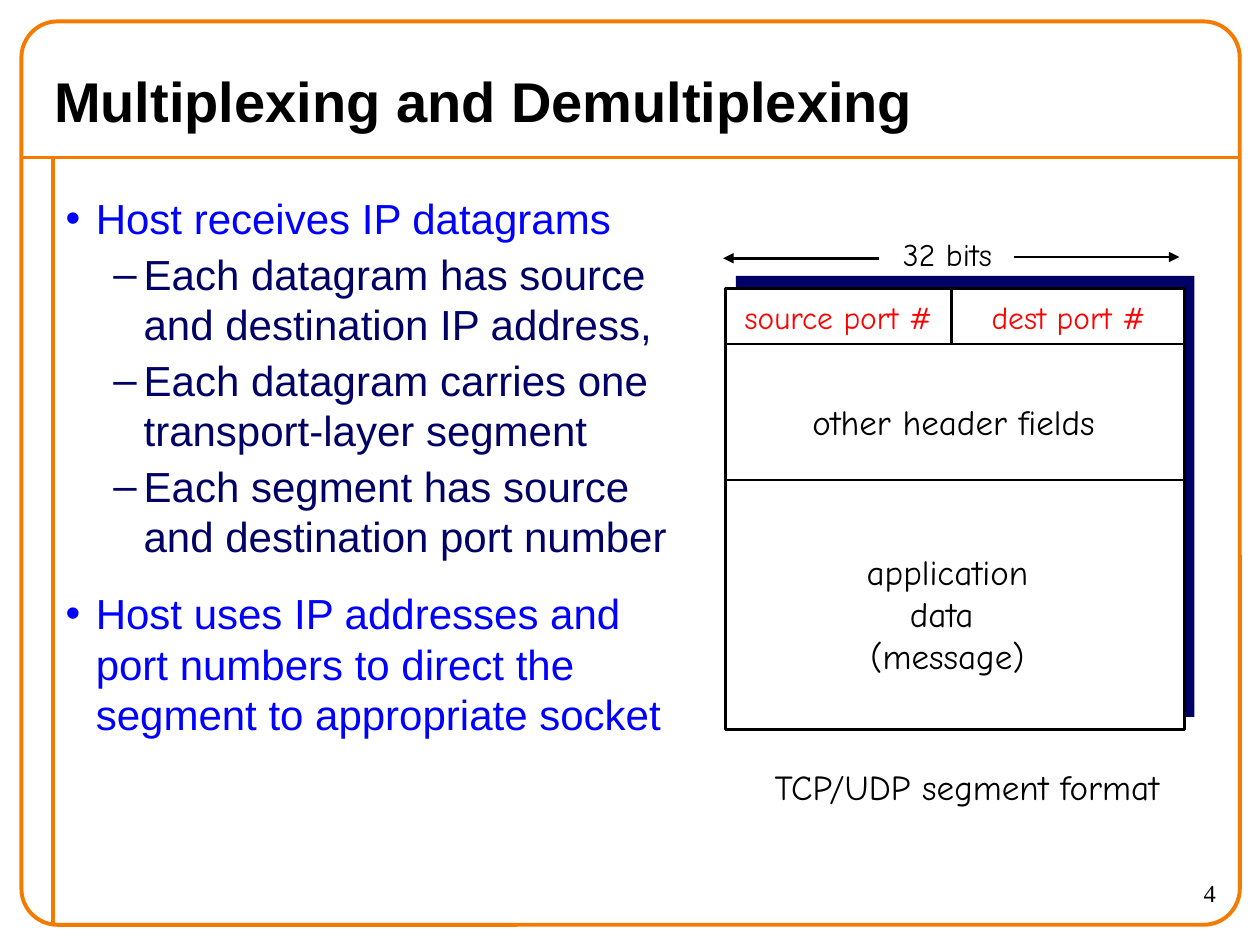
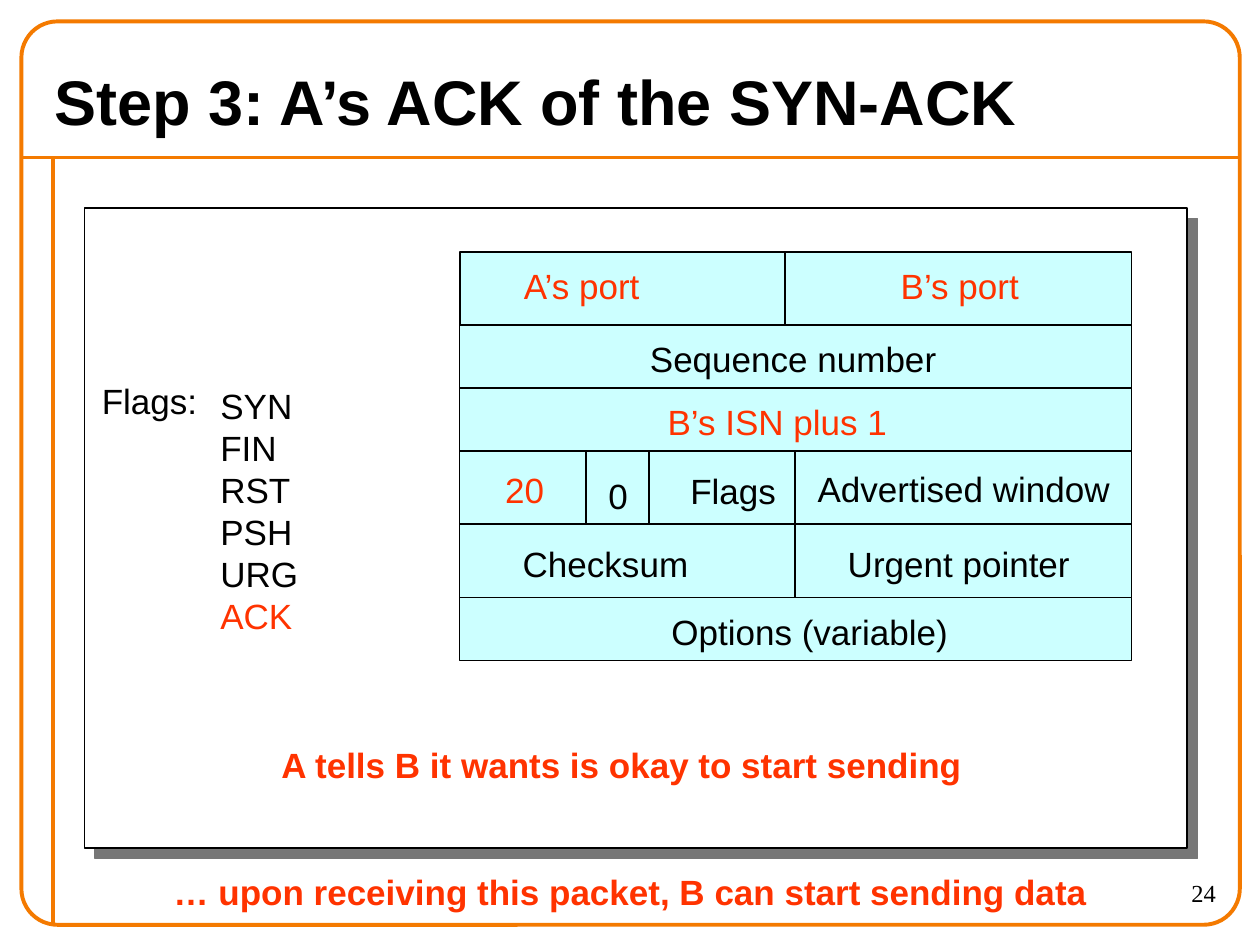
from dataclasses import dataclass

from lxml.etree import SubElement
from pptx import Presentation
from pptx.dml.color import RGBColor as RGB
from pptx.enum.shapes import MSO_CONNECTOR as LINE, MSO_SHAPE as SHAPE
from pptx.enum.text import MSO_ANCHOR as ANCHOR, MSO_AUTO_SIZE as FIT, PP_ALIGN as ALIGN
from pptx.oxml.ns import qn
from pptx.util import Inches, Pt


@dataclass(frozen=True)
class Theme:
    orange: str = "F47A00"
    navy: str = "000066"
    blue: str = "0000FF"
    red: str = "FF0000"
    vermilion: str = "FF3300"
    cyan: str = "CCFFFF"
    gray: str = "777777"
    black: str = "000000"
    white: str = "FFFFFF"
    sans: str = "Arial"
    hand: str = "Comic Neue"
    serif: str = "Times New Roman"
    body_size: int = 24
    label_size: int = 20
    port_size: int = 18
    number_size: int = 14
    frame_line: float = 2.25
    thick_line: float = 1.5
    thin_line: float = 0.75


THEME = Theme()
SIDE_MARGINS = {ALIGN.LEFT: (0.1, 0), ALIGN.CENTER: (0, 0), ALIGN.RIGHT: (0, 0.1)}


def inches(values):
    return [Inches(value) for value in values]


def set_all(target, formats):
    for name, value in formats.items():
        setattr(target, name, value)


def style_font(font, size, color, face=THEME.sans, bold=False):
    set_all(font, {"size": Pt(size), "name": face, "bold": bold})
    font.color.rgb = RGB.from_string(color)


def add_box(slide, at, fill=None, line=None, width=THEME.thin_line, kind=SHAPE.RECTANGLE):
    box = slide.shapes.add_shape(kind, *inches(at))
    box.shadow.inherit = False
    if fill:
        box.fill.solid()
        box.fill.fore_color.rgb = RGB.from_string(fill)
    else:
        box.fill.background()
    if line:
        box.line.color.rgb = RGB.from_string(line)
        box.line.width = Pt(width)
    else:
        box.line.fill.background()
    return box


def add_line(slide, start, end, color=THEME.black, width=THEME.thick_line, arrow=False):
    line = slide.shapes.add_connector(LINE.STRAIGHT, *inches(start + end))
    line.line.color.rgb = RGB.from_string(color)
    line.line.width = Pt(width)
    properties = line._element.spPr
    if arrow:
        SubElement(properties.find(qn("a:ln")), qn("a:tailEnd"), type="triangle")
    SubElement(properties, qn("a:effectLst"))


def add_label(slide, at, lines, size=THEME.label_size, color=THEME.black, face=THEME.sans,
              bold=False, align=ALIGN.LEFT, fill=None):
    label = slide.shapes.add_textbox(*inches(at))
    if fill:
        label.fill.solid()
        label.fill.fore_color.rgb = RGB.from_string(fill)
    frame = label.text_frame
    margin_left, margin_right = inches(SIDE_MARGINS[align])
    set_all(frame, {"text": "\n".join(lines), "word_wrap": True, "auto_size": FIT.NONE,
                    "margin_left": margin_left, "margin_right": margin_right})
    for paragraph in frame.paragraphs:
        paragraph.alignment = align
        style_font(paragraph.font, size, color, face, bold)
    return frame


def place(placeholder, at, anchor):
    set_all(placeholder, dict(zip(("left", "top", "width", "height"), inches(at))))
    set_all(placeholder.text_frame, {"auto_size": FIT.NONE, "word_wrap": True,
                                     "vertical_anchor": anchor})


def start_slide(deck, layout, heading, size, number):
    slide = deck.slides.add_slide(deck.slide_layouts[layout])
    for start, end in [((0.17, 1.25), (9.83, 1.25)), ((0.42, 1.25), (0.42, 7.33))]:
        add_line(slide, start, end, THEME.orange, THEME.frame_line)
    border = add_box(slide, (0.17, 0.17, 9.67, 7.17), line=THEME.orange,
                     width=THEME.frame_line, kind=SHAPE.ROUNDED_RECTANGLE)
    border.adjustments[0] = 0.04
    add_label(slide, (8.75, 6.92, 1, 0.42), [number], THEME.number_size,
              face=THEME.serif, align=ALIGN.RIGHT)
    title = slide.shapes.title
    place(title, (0.33, 0.42, 8.82, 0.75), ANCHOR.MIDDLE)
    title.text_frame.text = heading
    paragraph = title.text_frame.paragraphs[0]
    paragraph.alignment = ALIGN.LEFT
    style_font(paragraph.font, size, THEME.black, bold=True)
    return slide


def add_bullets(slide, at, points):
    levels = [("•", THEME.blue, 0.24, 15), ("–", THEME.navy, 0.62, 3)]
    body = slide.placeholders[1]
    place(body, at, ANCHOR.TOP)
    body.text_frame.text = "\n".join(text for _, text in points)
    for index, (level, _) in enumerate(points):
        mark, color, margin, gap = levels[level]
        paragraph = body.text_frame.paragraphs[index]
        properties = paragraph._p.get_or_add_pPr()
        properties.set("marL", str(Inches(margin)))
        properties.set("indent", str(Inches(-0.24)))
        bullet_color = SubElement(properties, qn("a:buClr"))
        SubElement(bullet_color, qn("a:srgbClr"), val=color)
        SubElement(properties, qn("a:buFont"), typeface=THEME.sans)
        SubElement(properties, qn("a:buChar"), char=mark)
        set_all(paragraph, {"level": level, "alignment": ALIGN.LEFT,
                            "space_before": Pt(gap if index else 0)})
        style_font(paragraph.font, THEME.body_size, color)


def add_drop_shadow(box, color, distance):
    effects = box._element.spPr.find(qn("a:effectLst"))
    shadow = SubElement(effects, qn("a:outerShdw"), dist=str(Pt(distance)),
                        dir=str(45 * 60000), algn="ctr", rotWithShape="0")
    SubElement(shadow, qn("a:srgbClr"), val=color)


def draw_segment_format(slide):
    add_box(slide, (5.84, 2.19, 3.64, 3.5), THEME.navy)
    add_box(slide, (5.76, 2.29, 3.64, 3.5), THEME.white, THEME.black, THEME.thick_line)
    for start, end in [((5.76, 2.73), (9.4, 2.73)), ((5.76, 3.81), (9.4, 3.81)),
                       ((7.55, 2.73), (7.55, 2.29))]:
        add_line(slide, start, end)
    for start, end in [((8.05, 2.04), (9.36, 2.04)), ((6.98, 2.05), (5.74, 2.05))]:
        add_line(slide, start, end, arrow=True)
    fields = [
        ((5.81, 2.32, 1.69, 0.4), ["source port #"], THEME.port_size, THEME.red),
        ((7.77, 2.32, 1.42, 0.4), ["dest port #"], THEME.port_size, THEME.red),
        ((7.07, 1.82, 0.9, 0.4), ["32 bits"], THEME.port_size, THEME.black),
        ((6.35, 3.13, 2.44, 0.44), ["other header fields"], THEME.label_size, THEME.black),
        ((6.78, 4.32, 1.48, 1.1), ["application", "data ", "(message)"],
         THEME.label_size, THEME.black),
        ((6.03, 6.03, 3.29, 0.44), ["TCP/UDP segment format"], THEME.label_size, THEME.black),
    ]
    for at, lines, size, color in fields:
        add_label(slide, at, lines, size, color, THEME.hand, align=ALIGN.CENTER)


def draw_tcp_header(slide):
    left, right, top = 3.65, 8.98, 2
    tall, short = 0.58, 0.5
    rows = [(tall, [6.23]), (short, []), (short, []), (tall, [6.31]), (tall, [6.31]), (short, [])]
    for height, splits in rows:
        edges = [left, *splits, right]
        for start, end in zip(edges, edges[1:]):
            add_box(slide, (start, top, end - start, height), THEME.cyan, THEME.black)
        top += height
    for x in (4.65, 5.15):
        add_line(slide, (x, 3.58), (x, 4.16), width=THEME.thin_line)
    fields = [
        (4.06, 2.05, 1.14, "A’s port", THEME.vermilion),
        (7.05, 2.05, 1.14, "B’s port", THEME.vermilion),
        (5.06, 2.63, 2.47, "Sequence number", THEME.black),
        (5.2, 3.13, 1.95, "B’s ISN plus 1", THEME.vermilion),
        (3.91, 3.67, 0.51, "20", THEME.vermilion),
        (4.73, 3.72, 0.35, "0", THEME.black),
        (5.38, 3.68, 0.88, "Flags", THEME.black),
        (6.39, 3.66, 2.52, "Advertised window", THEME.black),
        (4.05, 4.26, 1.51, "Checksum", THEME.black),
        (6.63, 4.26, 1.96, "Urgent pointer", THEME.black),
        (5.23, 4.8, 2.39, "Options (variable)", THEME.black),
    ]
    for x, y, width, text, color in fields:
        add_label(slide, (x, y, width, 0.43), [text], color=color, fill=THEME.cyan)


def build_multiplexing(deck):
    slide = start_slide(deck, 1, "Multiplexing and Demultiplexing", 32, "4")
    add_bullets(slide, (0.42, 1.48, 5.08, 5.5), [
        (0, "Host receives IP datagrams"),
        (1, "Each datagram has source and destination IP address,"),
        (1, "Each datagram carries one transport-layer segment"),
        (1, "Each segment has source and destination port number"),
        (0, "Host uses IP addresses and port numbers to direct the segment to appropriate socket"),
    ])
    draw_segment_format(slide)


def build_handshake(deck):
    slide = start_slide(deck, 5, "Step 3: A’s ACK of the SYN-ACK", 36, "24")
    panel = add_box(slide, (0.67, 1.65, 8.75, 5.08), THEME.white, THEME.black)
    add_drop_shadow(panel, THEME.gray, 8.5)
    draw_tcp_header(slide)
    add_label(slide, (0.71, 2.96, 0.96, 0.44), ["Flags:"])
    flags = add_label(slide, (1.65, 3, 0.82, 2.1), ["SYN", "FIN", "RST", "PSH", "URG", "ACK"])
    style_font(flags.paragraphs[-1].font, THEME.label_size, THEME.vermilion)
    remarks = [
        ((2.13, 5.85, 5.61, 0.44), "A tells B it wants is okay to start sending"),
        ((1.28, 6.86, 7.45, 0.44), "… upon receiving this packet, B can start sending data"),
    ]
    for at, text in remarks:
        add_label(slide, at, [text], color=THEME.vermilion, bold=True, align=ALIGN.CENTER)


def main():
    deck = Presentation()
    set_all(deck, {"slide_width": Inches(10), "slide_height": Inches(7.5)})
    build_multiplexing(deck)
    build_handshake(deck)
    deck.save("out.pptx")


if __name__ == "__main__":
    main()
